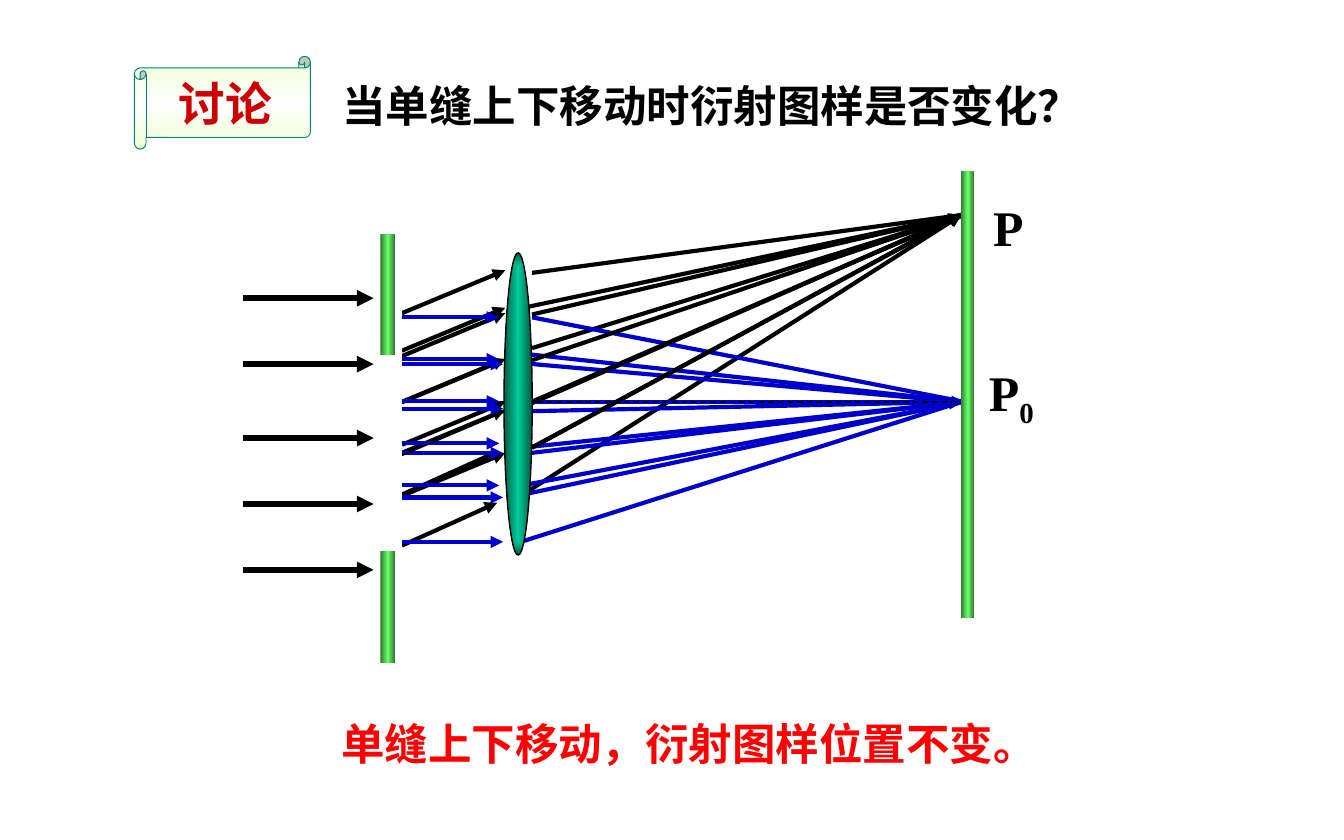
from lxml import etree
from pptx import Presentation
from pptx import util as u
from pptx.dml.color import RGBColor
from pptx.enum import dml, shapes, text
from pptx.oxml import ns

BLACK, BLUE, WHITE = "000000", "0000CC", "FFFFFF"
GREEN = [(0, "2F762F"), (50, "66FF66"), (100, "2F762F")]
LENS = [(0, "00CC99"), (100, "005A44")]
SCROLL = [(0, "EDFFD2"), (50, "FFFFFF"), (100, "EDFFD2")]
KINDS = shapes.MSO_SHAPE


def rgb(color):
    return RGBColor.from_string(color)


def sub(parent, tag, **attrs):
    return etree.SubElement(parent, ns.qn(tag), {k: str(v) for k, v in attrs.items()})


class Deck:
    latin, cjk = "Times New Roman", "Noto Sans CJK SC"

    def __init__(self, width, height):
        self.prs = Presentation()
        self.prs.slide_width, self.prs.slide_height = u.Pt(width), u.Pt(height)
        self.s = self.prs.slides.add_slide(self.prs.slide_layouts[6])

    def line(self, x1, y1, x2, y2, color=BLACK, width=2.25, arrow=False, dash=False):
        c = self.s.shapes.add_connector(
            shapes.MSO_CONNECTOR.STRAIGHT, u.Pt(x1), u.Pt(y1), u.Pt(x2), u.Pt(y2))
        c.line.color.rgb = rgb(color)
        c.line.width = u.Pt(width)
        if dash:
            c.line.dash_style = dml.MSO_LINE.DASH
        if arrow:
            sub(c._element.spPr.find(ns.qn("a:ln")), "a:tailEnd", type="triangle")
        sub(c._element.spPr, "a:effectLst")

    def fan(self, starts, target, color, arrows=()):
        """Rays from several points that meet in one."""
        for i, start in enumerate(starts):
            self.line(*start, *target, color=color, arrow=i in arrows)

    def parallel(self, x1, x2, ys, color, width=2.25):
        for y in ys:
            self.line(x1, y, x2, y, color, width, arrow=True)

    def shape(self, kind, x, y, w, h, fill=WHITE, line=None, width=0.75):
        sp = self.s.shapes.add_shape(kind, u.Pt(x), u.Pt(y), u.Pt(w), u.Pt(h))
        sp.shadow.inherit = False
        sp.fill.solid()
        sp.fill.fore_color.rgb = rgb(fill)
        if line:
            sp.line.color.rgb = rgb(line)
            sp.line.width = u.Pt(width)
        else:
            sp.line.fill.background()
        return sp

    def gradient(self, sp, stops, angle=None):
        """Linear at an angle, or from the centre outwards without one."""
        solid = sp._element.spPr.find(ns.qn("a:solidFill"))
        grad = etree.Element(ns.qn("a:gradFill"), rotWithShape="1")
        stop_list = sub(grad, "a:gsLst")
        for pos, color in stops:
            sub(sub(stop_list, "a:gs", pos=pos * 1000), "a:srgbClr", val=color)
        if angle is None:
            centre = sub(grad, "a:path", path="shape")
            sub(centre, "a:fillToRect", l=50000, t=50000, r=50000, b=50000)
        else:
            sub(grad, "a:lin", ang=angle * 60000, scaled=1)
        sp._element.spPr.replace(solid, grad)

    def bar(self, x, y, w, h):
        self.gradient(self.shape(KINDS.RECTANGLE, x, y, w, h), GREEN, 0)

    def put_text(self, sp, words, size, color=BLACK, font=None, align=None, wrap=True):
        tf = sp.text_frame
        tf.word_wrap = wrap
        tf.vertical_anchor = text.MSO_ANCHOR.MIDDLE
        tf.margin_top = tf.margin_bottom = 0
        p = tf.paragraphs[0]
        p.text = words
        p.alignment = align or text.PP_ALIGN.LEFT
        self.style(p.runs[0], size, color, font)
        return p

    def style(self, r, size, color=BLACK, font=None):
        r.font.size, r.font.bold = u.Pt(size), True
        r.font.color.rgb = rgb(color)
        r.font.name = font or self.latin
        sub(r._r.get_or_add_rPr(), "a:ea", typeface=self.cjk)

    def label(self, words, x, y, w, h, size, wrap=True):
        sp = self.s.shapes.add_textbox(u.Pt(x), u.Pt(y), u.Pt(w), u.Pt(h))
        return self.put_text(sp, words, size, wrap=wrap)


def main():
    d = Deck(720, 450)
    slit_x, lens_l, lens_r, axis = 215.3, 280, 285, 215.3
    p_top, p_mid = (515, 115.2), (515, axis)

    # Rays from the lens to P and P0
    d.fan([(lens_l, 165), (lens_r, 186.5), (lens_r, 239.8), (lens_l, 265), (lens_r, 216)],
          p_top, BLACK, arrows=(2, 3, 4))
    d.fan([(lens_r, 195), (lens_r, 220.3), (lens_l, 265), (lens_l, 290), (lens_r, 242.6)],
          p_mid, BLUE, arrows=(4,))
    d.fan([(lens_r, 170), (lens_r, 190), (lens_l, 239.8), (lens_l, 260), (lens_r, axis)],
          (516.5, axis), BLUE, arrows=(4,))

    # Oblique rays of the lower slit, conclusion, then those of the upper slit
    def oblique(ys):
        for i, y in enumerate(ys):
            d.line(slit_x, y, 266.4 if i == 4 else 270.7, y - 23, arrow=True)

    oblique([190.8, 215.5, 242.6, 265.7, 292.3])
    box = d.shape(KINDS.RECTANGLE, 175.7, 380.2, 397.4, 35.3)
    d.put_text(box, "单缝上下移动，衍射图样位置不变。", 23.3, "FF0000", d.cjk)
    oblique([167.8, 187.9, 215.3, 238.3, 265])

    # Incoming light
    d.parallel(130.3, 200.2, [159.8, 195.1, 234.7, 270, 305.3], BLACK, 3)

    # Question, labels and optical axis
    d.label("P", 524.9, 101.5, 35.3, 39.6, 26.7)
    d.label("当单缝上下移动时衍射图样是否变化？", 176.4, 38.9, 422.6, 35.3, 23.3)
    d.line(205.2, axis, *p_mid, width=0.75, dash=True)
    p = d.label("P", 522.7, 192.2, 39.6, 39.6, 26.7, wrap=False)
    r = p.add_run()
    r.text = "0"
    d.style(r, 26.7)
    r._r.get_or_add_rPr().set("baseline", "-25000")

    # Level rays of both slits
    d.parallel(slit_x, 267.4, [170 + 22.5 * i for i in range(5)], BLUE)
    d.parallel(slit_x, 269.5, [195.1 + 23.8 * i for i in range(5)], BLUE)

    # Upper rays to P
    d.line(210.2, 246.2, 515, 116.6, width=0.75)
    d.fan([(lens_r, y) for y in (146.2, 168.5, 215.3, 239.8, 193)], p_top, BLACK, arrows=(2, 4))

    # Screen, lens and slit
    d.bar(514.8, 91.4, 7.2, 239.8)
    lens = d.shape(KINDS.OVAL, 270, 135.4, 15.1, 162, line=BLACK)
    d.gradient(lens, LENS)
    d.shape(KINDS.RECTANGLE, 200.2, 95, 15.1, 265)
    d.bar(203.8, 295.2, 7.9, 59.8)
    d.bar(203.8, 125.3, 7.9, 64.8)

    # Title scroll
    scroll = d.shape(KINDS.HORIZONTAL_SCROLL, 72, 30.2, 94.3, 49.7, line="008080", width=0.5)
    d.gradient(scroll, SCROLL, 90)
    d.put_text(scroll, "讨论", 25, "CC0000", align=text.PP_ALIGN.CENTER, wrap=False)

    d.prs.save("out.pptx")


if __name__ == "__main__":
    main()
